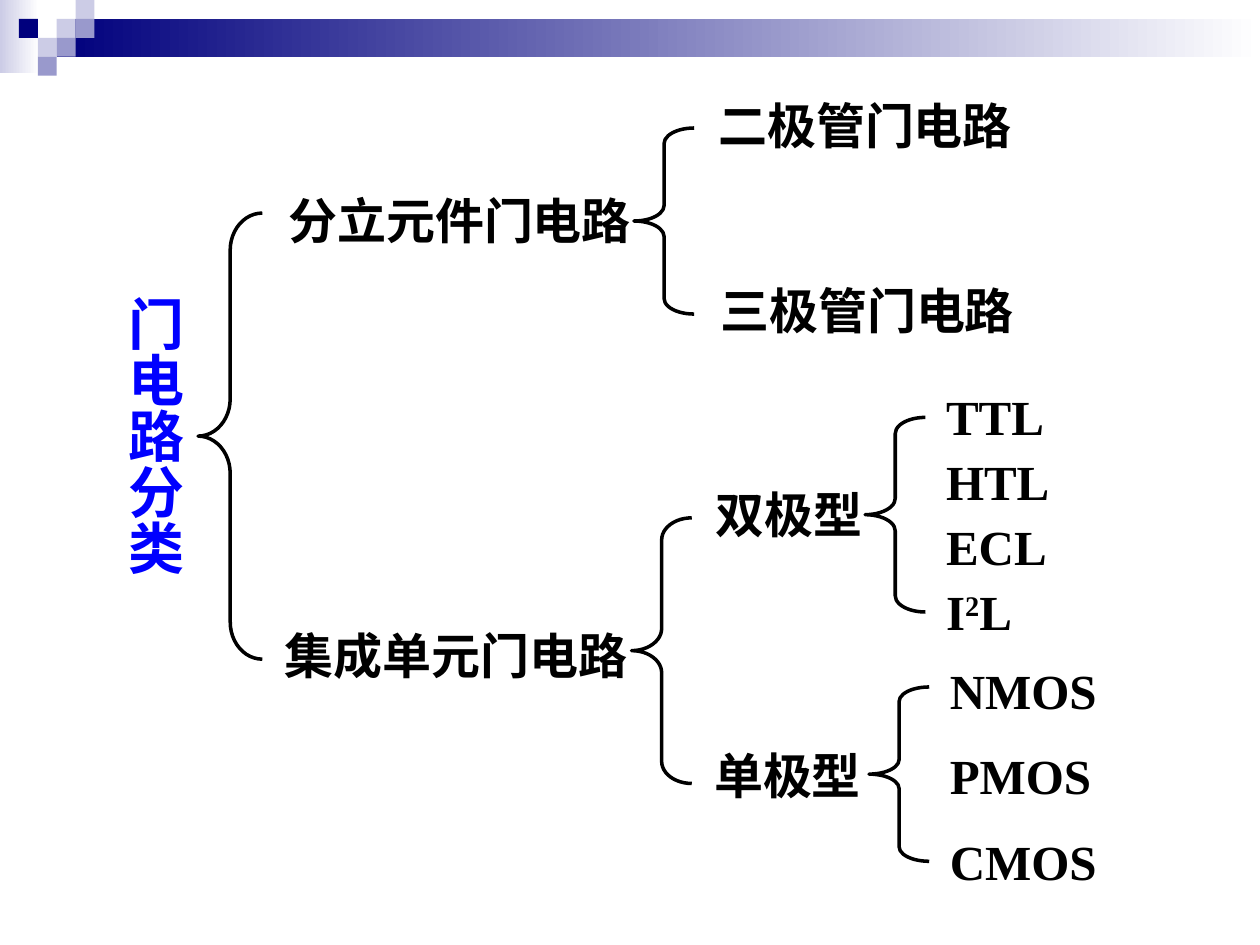
from pptx import Presentation
from pptx import util as u
from pptx.dml.color import RGBColor
from pptx.enum import shapes, text

Pt = u.Pt


def rgb(value):
    return RGBColor.from_string(value)


class Diagram:
    FONT = "Times New Roman"
    BLACK, BLUE = "000000", "0000FF"
    NAVY, LILAC, PALE, WHITE = "00007D", "9999CC", "CCCCE6", "FFFFFF"
    LABEL_SIZE, TITLE_SIZE, LINE = 28, 32, 2
    LABEL_HEIGHT = 41

    def __init__(self, slide):
        self.s = slide

    def _bar(self, x, y, w, h):
        sp = self.s.shapes.add_shape(
            shapes.MSO_SHAPE.RECTANGLE, Pt(x), Pt(y), Pt(w), Pt(h))
        sp.shadow.inherit = False
        sp.line.fill.background()
        return sp

    def solid(self, x, y, w, h, color):
        sp = self._bar(x, y, w, h)
        sp.fill.solid()
        sp.fill.fore_color.rgb = rgb(color)

    def fade(self, x, y, w, h, color):
        """Bar that fades from color on the left to white on the right."""
        sp = self._bar(x, y, w, h)
        sp.fill.gradient()
        sp.fill.gradient_angle = 180
        for stop, c in zip(sp.fill.gradient_stops, (self.WHITE, color)):
            stop.color.rgb = rgb(c)

    def _format(self, p, size, color):
        p.font.name = self.FONT
        p.font.size = Pt(size)
        p.font.bold = True
        p.font.color.rgb = rgb(color)

    def vertical_title(self, words, x, y, w, h):
        sp = self.s.shapes.title
        sp.left, sp.top, sp.width, sp.height = Pt(x), Pt(y), Pt(w), Pt(h)
        tf = sp.text_frame
        tf.text = words
        tf.word_wrap = True
        tf.auto_size = text.MSO_AUTO_SIZE.NONE
        tf.vertical_anchor = text.MSO_ANCHOR.TOP
        tf.margin_left = tf.margin_right = Pt(3.6)
        tf.margin_top = tf.margin_bottom = Pt(7.2)
        tf._txBody.bodyPr.set("vert", "eaVert")
        p = tf.paragraphs[0]
        p.alignment = text.PP_ALIGN.CENTER
        self._format(p, self.TITLE_SIZE, self.BLUE)

    def label(self, words, x, y, w):
        """Text box; a part of words between ^ signs is raised."""
        sp = self.s.shapes.add_textbox(
            Pt(x), Pt(y), Pt(w), Pt(self.LABEL_HEIGHT))
        tf = sp.text_frame
        tf.word_wrap = True
        p = tf.paragraphs[0]
        self._format(p, self.LABEL_SIZE, self.BLACK)
        for i, part in enumerate(words.split("^")):
            r = p.add_run()
            r.text = part
            if i % 2:
                r._r.get_or_add_rPr().set("baseline", "30000")

    def column(self, items, x, y, w, step):
        for i, words in enumerate(items):
            self.label(words, x, y + i * step, w)

    def brace(self, x, y, w, h):
        sp = self.s.shapes.add_shape(
            shapes.MSO_SHAPE.LEFT_BRACE, Pt(x), Pt(y), Pt(w), Pt(h))
        sp.shadow.inherit = False
        sp.adjustments[0] = h / w / 12  # each curve is a twelfth of the height
        sp.fill.background()
        sp.line.color.rgb = rgb(self.BLACK)
        sp.line.width = Pt(self.LINE)


def decorate(d):
    unit = 10.8
    d.fade(0, 0, 22.3, 41.8, d.PALE)
    d.fade(3 * unit, unit, 687.6, 21.6, d.NAVY)
    for col, row, color in (
            (3, 1, d.PALE), (4, 0, d.PALE), (4, 1, d.LILAC), (2, 2, d.PALE),
            (1, 1, d.NAVY), (3, 2, d.LILAC), (2, 3, d.LILAC)):
        d.solid(col * unit, row * unit, unit, unit, color)


def main():
    prs = Presentation()
    prs.slide_width, prs.slide_height = Pt(720), Pt(540)
    d = Diagram(prs.slides.add_slide(prs.slide_layouts[5]))
    decorate(d)

    d.vertical_title("门电路分类", 58.3, 162, 52.6, 177.1)
    d.brace(113.2, 121.8, 36.7, 254.9)

    d.label("分立元件门电路", 157.7, 105.1, 216)
    d.brace(362.3, 73.2, 34.4, 106.3)
    d.label("二极管门电路", 403.4, 51.1, 216)
    d.label("三极管门电路", 404.6, 157, 216)

    d.label("集成单元门电路", 155.5, 354.2, 218)
    d.brace(360.9, 295.9, 34.4, 151.8)
    d.label("双极型", 401.8, 273.6, 101.5)
    d.label("单极型", 401, 422.6, 101.5)

    d.brace(494.4, 238.5, 34.4, 111.2)
    d.column(("TTL", "HTL", "ECL", "I^2^L"), 533.5, 217.4, 101.5, 37.2)
    d.brace(496.6, 392.6, 34.4, 99.6)
    d.column(("NMOS", "PMOS", "CMOS"), 535.7, 373.7, 101.5, 49)

    prs.save("out.pptx")


if __name__ == "__main__":
    main()
